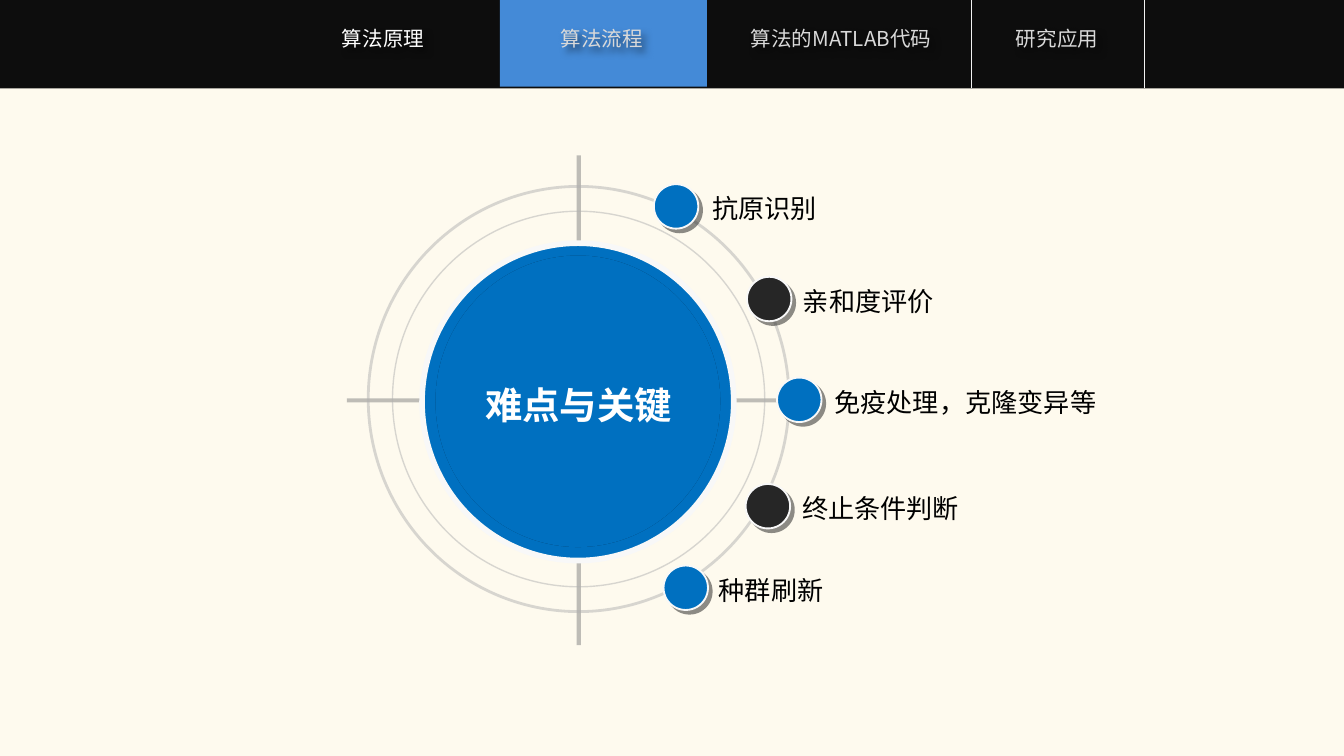
from lxml import etree
from pptx import Presentation
from pptx import util as u
from pptx.dml.color import RGBColor
from pptx.enum import shapes, text
from pptx.oxml import ns

CREAM = RGBColor(0xFE, 0xFA, 0xEE)
BLACK = RGBColor(0, 0, 0)
INK = RGBColor(0x0D, 0x0D, 0x0D)
SHADE = RGBColor(0x1C, 0x1C, 0x1C)
CHARCOAL = RGBColor(0x26, 0x26, 0x26)
GRAY = RGBColor(0x80, 0x80, 0x80)
RING = RGBColor(0xB2, 0xB2, 0xB2)
MUTED = RGBColor(0xD9, 0xD9, 0xD9)
DIVIDER = RGBColor(0xF2, 0xF2, 0xF2)
RIM = RGBColor(0xF8, 0xF8, 0xF8)
WHITE = RGBColor(0xFF, 0xFF, 0xFF)
ACTIVE = RGBColor(0x44, 0x8A, 0xD7)
BLUE = RGBColor(0, 0x70, 0xC0)

OVAL = shapes.MSO_SHAPE.OVAL
CJK = "Noto Sans CJK SC"
TAB = dict(name=CJK, size=u.Pt(11))
LABEL = dict(name="Arial", size=u.Pt(14))
TITLE = dict(name="Arial", size=u.Pt(20), bold=True)
CENTER = text.PP_ALIGN.CENTER
MIDDLE = dict(vertical_anchor=text.MSO_ANCHOR.MIDDLE)
GROW = dict(word_wrap=True, auto_size=text.MSO_AUTO_SIZE.SHAPE_TO_FIT_TEXT)
INSETS = dict(margin_left=u.Pt(5.8), margin_right=u.Pt(5.8),
              margin_top=u.Pt(2.9), margin_bottom=u.Pt(2.9))


class Deck:
    """Draws styled elements, measured in points, on the current slide."""

    def __init__(self, width, height, background):
        self.show = Presentation()
        self.show.slide_width, self.show.slide_height = u.Pt(width), u.Pt(height)
        self.slide = self.show.slides.add_slide(self.show.slide_layouts[6])
        self.slide.background.fill.solid()
        self.slide.background.fill.fore_color.rgb = background

    def apply(self, target, values):
        for key, value in values.items():
            setattr(target, key, value)

    def stroke(self, line, color, width, alpha=100):
        line.color.rgb, line.width = color, u.Pt(width)
        if alpha < 100:
            tone = line._ln.find(".//" + ns.qn("a:srgbClr"))
            etree.SubElement(tone, ns.qn("a:alpha"), val=str(alpha * 1000))

    def shadow(self, shape, color, distance, blur=0):
        shape.shadow.inherit = False
        effects = shape._element.spPr.find(ns.qn("a:effectLst"))
        outer = etree.SubElement(effects, ns.qn("a:outerShdw"), algn="ctr", rotWithShape="0",
                                 blurRad=str(u.Pt(blur)), dist=str(u.Pt(distance)), dir="2700000")
        tone = etree.SubElement(outer, ns.qn("a:srgbClr"), val=str(color))
        etree.SubElement(tone, ns.qn("a:alpha"), val="50000")

    def shape(self, kind, left, top, width, height, fill=None, line=None):
        shape = self.slide.shapes.add_shape(kind, *map(u.Pt, (left, top, width, height)))
        shape.shadow.inherit = False
        if fill is None:
            shape.fill.background()
        else:
            shape.fill.solid()
            shape.fill.fore_color.rgb = fill
        if line:
            self.stroke(shape.line, *line)
        else:
            shape.line.fill.background()
        return shape

    def oval(self, x, y, width, height, **style):
        return self.shape(OVAL, x - width / 2, y - height / 2, width, height, **style)

    def line(self, x1, y1, x2, y2, *style):
        line = self.slide.shapes.add_connector(
            shapes.MSO_CONNECTOR.STRAIGHT, *map(u.Pt, (x1, y1, x2, y2)))
        self.stroke(line.line, *style)
        etree.SubElement(line._element.spPr, ns.qn("a:effectLst"))

    def caption(self, shape, words, font, color, align, frame):
        self.apply(shape.text_frame, frame)
        paragraph = shape.text_frame.paragraphs[0]
        paragraph.alignment = align
        run = paragraph.add_run()
        run.text = words
        self.apply(run.font, font)
        run.font.color.rgb = color
        etree.SubElement(run._r.get_or_add_rPr(), ns.qn("a:ea"), typeface=CJK)

    def text(self, left, top, width, height, *content):
        box = self.slide.shapes.add_textbox(*map(u.Pt, (left, top, width, height)))
        self.caption(box, *content)
        return box


deck = Deck(720, 405, CREAM)

bar = shapes.MSO_SHAPE.RECTANGLE
deck.shape(bar, 0, 0, 720, 47.4, fill=INK)
deck.shape(bar, 267.8, -1, 111, 47.4, fill=ACTIVE)
tabs = [("算法原理", 156, 98.6, WHITE), ("算法流程", 270, 105, MUTED),
        ("算法的MATLAB代码", 387.3, 126.7, MUTED), ("研究应用", 510.2, 112.3, MUTED)]
for words, left, width, color in tabs:
    tab = deck.text(left, 10.6, width, 21, words, TAB, color, CENTER, GROW)
    deck.shadow(tab, BLACK, 3, 4)
for x in (520.5, 613):
    deck.line(x, -1, x, 47.4, DIVIDER, 0.75)

hub_x, hub_y = 310, 214.5
deck.line(185.8, hub_y, 434.9, hub_y, GRAY, 2.25, 50)
deck.line(hub_x, 83.2, hub_x, 345.6, GRAY, 2.25, 50)
for width, height, weight in ((199.4, 201.2, 0.75), (225.4, 227.8, 1.5)):
    deck.oval(hub_x, hub_y - 0.7, width, height, line=(RING, weight, 50))
deck.oval(hub_x - 0.4, hub_y + 0.8, 167, 170, fill=BLUE, line=(RIM, 3))
disc = deck.oval(hub_x - 0.4, hub_y + 0.5, 152.6, 156.2, fill=BLUE)
deck.shadow(disc, BLACK, 0)
core = deck.oval(hub_x, hub_y + 2.5, 98, 100, fill=BLUE)
deck.caption(core, "难点与关键", TITLE, WHITE, CENTER, dict(MIDDLE, word_wrap=False))

points = [("抗原识别", 362.2, 110.6, 375.8, BLUE),
          ("亲和度评价", 412.1, 160.2, 424.3, CHARCOAL),
          ("免疫处理，克隆变异等", 428.2, 214.2, 441.2, BLUE),
          ("终止条件判断", 411.4, 271.2, 423.9, CHARCOAL),
          ("种群刷新", 367.4, 314.9, 379.2, BLUE)]
for words, x, y, left, color in points:
    deck.text(left, y - 10.5, 154, 23, words, LABEL, BLACK, text.PP_ALIGN.LEFT,
              {**MIDDLE, **GROW, **INSETS})
for words, x, y, left, color in points:
    node = deck.oval(x, y, 23.8, 23.8, fill=color, line=(RIM, 1))
    deck.shadow(node, SHADE, 2.8)
    deck.oval(x, y, 20.2, 20.2, fill=color)

deck.show.save("out.pptx")
